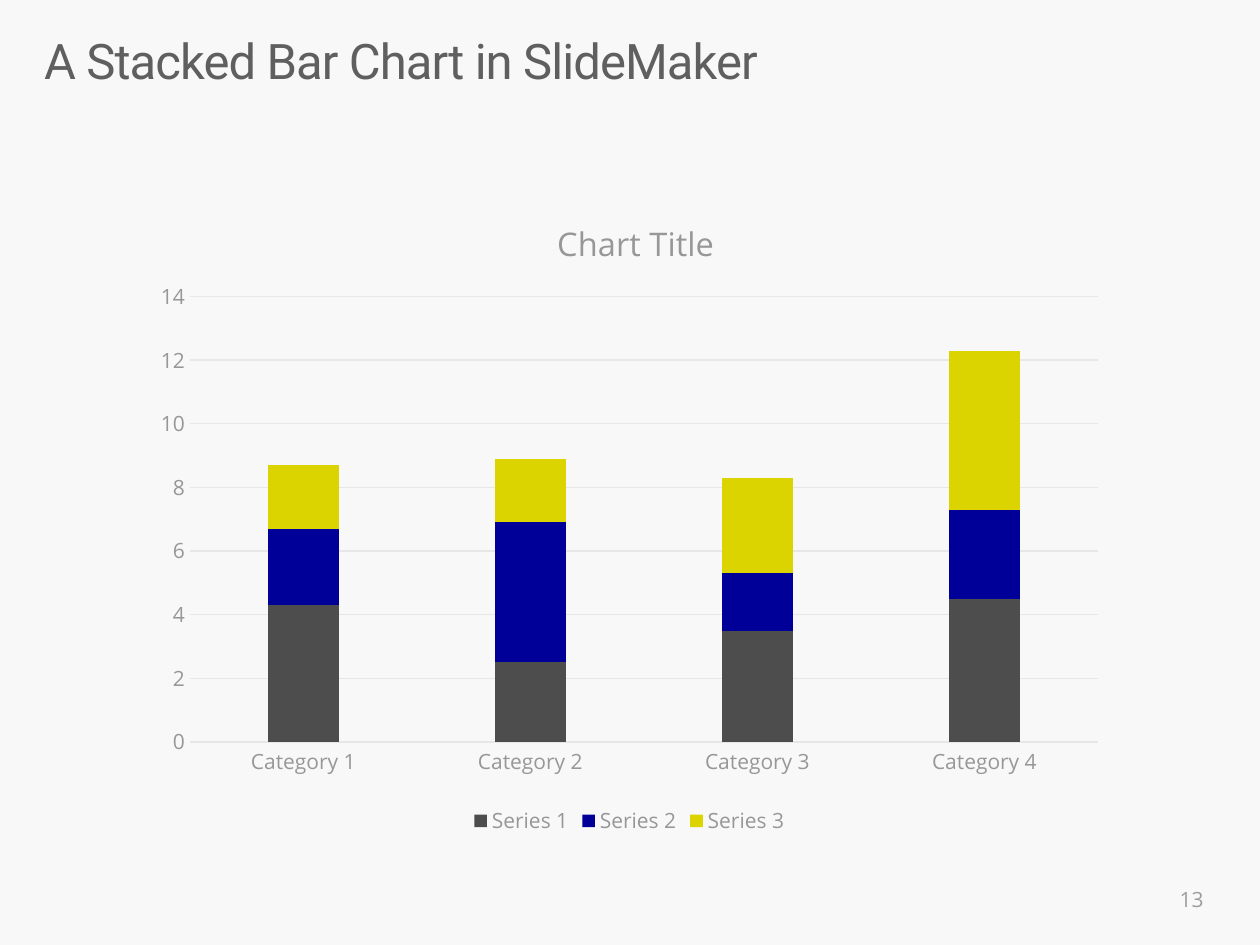
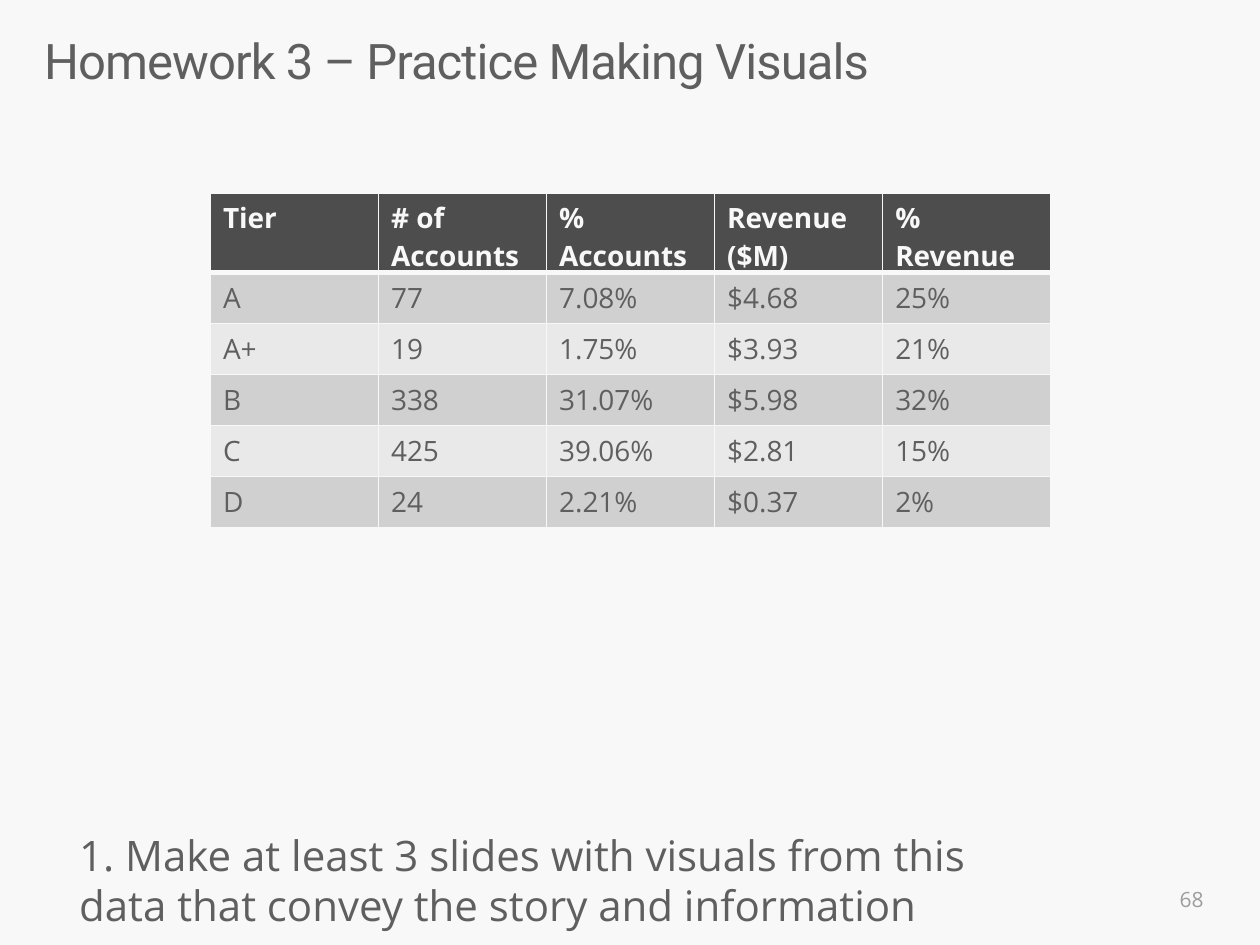
import pptx
import pptx.chart.data
import pptx.dml.color
import pptx.enum.chart
import pptx.enum.text
import pptx.oxml
import pptx.oxml.ns
import pptx.util

COLORS = {
    "paper": "F8F8F8", "text": "5F5F5F", "number": "9D9D9D", "label": "979797",
    "grid": "E7E7E7", "dark": "4D4D4D", "blue": "000099", "yellow": "DBD400",
    "odd_row": "D0D0D0", "even_row": "E9E9E9",
}
BODY_FONT = "Open Sans"
FORMATS = {
    "title": {"name": "Roboto", "size": 28, "color": "text"},
    "number": {"name": BODY_FONT, "size": 12, "color": "number"},
    "task": {"name": BODY_FONT, "size": 24, "color": "text"},
    "header": {"name": BODY_FONT, "size": 16, "color": "paper", "bold": True},
    "cell": {"name": BODY_FONT, "size": 16, "color": "text", "bold": False},
    "chart_title": {"name": BODY_FONT, "size": 18.6, "color": "label", "bold": False},
    "chart": {"name": BODY_FONT, "size": 12, "color": "label"},
}


def rgb(key):
    return pptx.dml.color.RGBColor.from_string(COLORS[key])


def set_all(target, **values):
    for attribute, value in values.items():
        setattr(target, attribute, value)


def set_font(font, key):
    for attribute, value in FORMATS[key].items():
        if attribute == "color":
            font.color.rgb = rgb(value)
        else:
            setattr(font, attribute, pptx.util.Pt(value) if attribute == "size" else value)


def set_line(line, key):
    line.color.rgb = rgb(key)
    line.width = pptx.util.Pt(0.75)


def set_borders(cell, **widths):
    """Draw paper-coloured cell borders; widths are points by side (L, R, T, B)."""
    properties = cell._tc.get_or_add_tcPr()
    for side in "LRTB":
        width = pptx.util.Pt(widths.get(side, 1))
        properties.append(pptx.oxml.parse_xml(
            f'<a:ln{side} {pptx.oxml.ns.nsdecls("a")} w="{width}"><a:solidFill>'
            f'<a:srgbClr val="{COLORS["paper"]}"/></a:solidFill></a:ln{side}>'))


def set_layout(before, target="", **shares):
    """Place a chart part by shares of the chart; the layout goes ahead of `before`."""
    for old in before.getparent().findall(pptx.oxml.ns.qn("c:layout")):
        before.getparent().remove(old)
    modes = "".join(f'<c:{axis}Mode val="edge"/>' for axis in "xy")
    values = "".join(f'<c:{part} val="{share}"/>' for part, share in shares.items())
    before.addprevious(pptx.oxml.parse_xml(
        f'<c:layout {pptx.oxml.ns.nsdecls("c")}><c:manualLayout>'
        f'{target}{modes}{values}</c:manualLayout></c:layout>'))


class Deck:
    """Hold the shared style and current slide; places are percents of the slide."""

    def __init__(self):
        self.presentation = pptx.Presentation()
        set_all(self.presentation, slide_width=pptx.util.Inches(10),
                slide_height=pptx.util.Inches(7.5))
        fill = self.presentation.slide_master.background.fill
        fill.solid()
        fill.fore_color.rgb = rgb("paper")
        self.slide = None

    def x(self, percent):
        return round(self.presentation.slide_width * percent / 100)

    def y(self, percent):
        return round(self.presentation.slide_height * percent / 100)

    def box(self, left, top, width, height):
        return self.x(left), self.y(top), self.x(width), self.y(height)

    def add_slide(self, title, number):
        self.slide = self.presentation.slides.add_slide(self.presentation.slide_layouts[5])
        heading = self.slide.shapes.title
        left, top, width, height = self.box(3.5, 4.13, 92.9, 11.87)
        set_all(heading, left=left, top=top, width=width, height=height)
        frame = heading.text_frame
        set_all(frame, margin_left=0, margin_top=0, margin_right=0, margin_bottom=0,
                word_wrap=True, auto_size=pptx.enum.text.MSO_AUTO_SIZE.NONE,
                vertical_anchor=pptx.enum.text.MSO_ANCHOR.TOP)
        paragraph = frame.paragraphs[0]
        set_all(paragraph, line_spacing=0.86, alignment=pptx.enum.text.PP_ALIGN.LEFT)
        run = paragraph.add_run()
        run.text = title
        set_font(run.font, "title")
        run.font._element.set("spc", "-50")
        self.add_text(str(number), "number", (74, 92.53, 22.5, 5.33),
                      pptx.enum.text.PP_ALIGN.RIGHT, pptx.enum.text.MSO_ANCHOR.MIDDLE)

    def add_text(self, text, style, place, alignment=pptx.enum.text.PP_ALIGN.LEFT,
                 anchor=pptx.enum.text.MSO_ANCHOR.TOP):
        frame = self.slide.shapes.add_textbox(*self.box(*place)).text_frame
        set_all(frame, word_wrap=True, vertical_anchor=anchor)
        paragraph = frame.paragraphs[0]
        paragraph.alignment = alignment
        run = paragraph.add_run()
        run.text = text
        set_font(run.font, style)

    def add_stacked_chart(self, title, categories, series, place):
        """Add stacked columns; series maps each name to (colour key, values)."""
        data = pptx.chart.data.CategoryChartData()
        data.categories = categories
        for name, (_, values) in series.items():
            data.add_series(name, values)
        chart = self.slide.shapes.add_chart(
            pptx.enum.chart.XL_CHART_TYPE.COLUMN_STACKED, *self.box(*place), data).chart
        set_font(chart.font, "chart")

        chart.has_title = True
        run = chart.chart_title.text_frame.paragraphs[0].add_run()
        run.text = title
        set_font(run.font, "chart_title")
        chart.has_legend = True
        set_all(chart.legend, position=pptx.enum.chart.XL_LEGEND_POSITION.BOTTOM,
                include_in_layout=False)
        set_font(chart.legend.font, "chart")

        plot = chart.plots[0]
        set_all(plot, gap_width=219, overlap=100, vary_by_categories=False)
        for drawn, (color, _) in zip(plot.series, series.values()):
            drawn.format.fill.solid()
            drawn.format.fill.fore_color.rgb = rgb(color)

        for axis in (chart.category_axis, chart.value_axis):
            set_all(axis, major_tick_mark=pptx.enum.chart.XL_TICK_MARK.NONE,
                    minor_tick_mark=pptx.enum.chart.XL_TICK_MARK.NONE)
            set_font(axis.tick_labels.font, "chart")
        set_line(chart.category_axis.format.line, "grid")
        set_all(chart.value_axis, minimum_scale=0, maximum_scale=14, major_unit=2)
        chart.value_axis.format.line.fill.background()
        set_line(chart.value_axis.major_gridlines.format.line, "grid")

        space = chart._chartSpace
        set_layout(space.xpath("c:chart/c:title/c:overlay")[0], x=0.42, y=0.04)
        set_layout(space.xpath("c:chart/c:plotArea/c:barChart")[0],
                   '<c:layoutTarget val="inner"/>', x=0.05, y=0.17, w=0.93, h=0.68)
        space.xpath("c:txPr")[0].addprevious(pptx.oxml.parse_xml(
            f'<c:spPr {pptx.oxml.ns.nsdecls("c", "a")}><a:noFill/>'
            '<a:ln><a:noFill/></a:ln></c:spPr>'))

    def add_table(self, rows, place, row_height):
        frame = self.slide.shapes.add_table(len(rows), len(rows[0]), *self.box(*place))
        for row_index, (row, values) in enumerate(zip(frame.table.rows, rows)):
            row.height = self.y(row_height)
            is_header = row_index == 0
            fill = "dark" if is_header else "odd_row" if row_index % 2 else "even_row"
            widths = {"B": 3} if is_header else {"T": 3} if row_index == 1 else {}
            for cell, value in zip(row.cells, values):
                set_borders(cell, **widths)
                cell.fill.solid()
                cell.fill.fore_color.rgb = rgb(fill)
                run = cell.text_frame.paragraphs[0].add_run()
                run.text = value
                set_font(run.font, "header" if is_header else "cell")
        frame.height = self.y(place[3])


def main():
    deck = Deck()

    deck.add_slide("A Stacked Bar Chart in SlideMaker", 13)
    deck.add_stacked_chart(
        "Chart Title",
        [f"Category {index}" for index in range(1, 5)],
        {"Series 1": ("dark", (4.3, 2.5, 3.5, 4.5)),
         "Series 2": ("blue", (2.4, 4.4, 1.8, 2.8)),
         "Series 3": ("yellow", (2, 2, 3, 5))},
        (11.2, 19.6, 77.5, 69.33))

    deck.add_slide("Homework 3 – Practice Making Visuals", 68)
    deck.add_text("1. Make at least 3 slides with visuals from this data "
                  "that convey the story and information",
                  "task", (5.3, 87.07, 78.8, 12.13))
    deck.add_table([
        ("Tier", "# of Accounts", "% Accounts", "Revenue ($M)", "% Revenue"),
        ("A", "77", "7.08%", "$4.68", "25%"),
        ("A+", "19", "1.75%", "$3.93", "21%"),
        ("B", "338", "31.07%", "$5.98", "32%"),
        ("C", "425", "39.06%", "$2.81", "15%"),
        ("D", "24", "2.21%", "$0.37", "2%"),
    ], (16.7, 20.4, 66.7, 35.47), row_height=5.4)

    deck.presentation.save("out.pptx")


if __name__ == "__main__":
    main()
